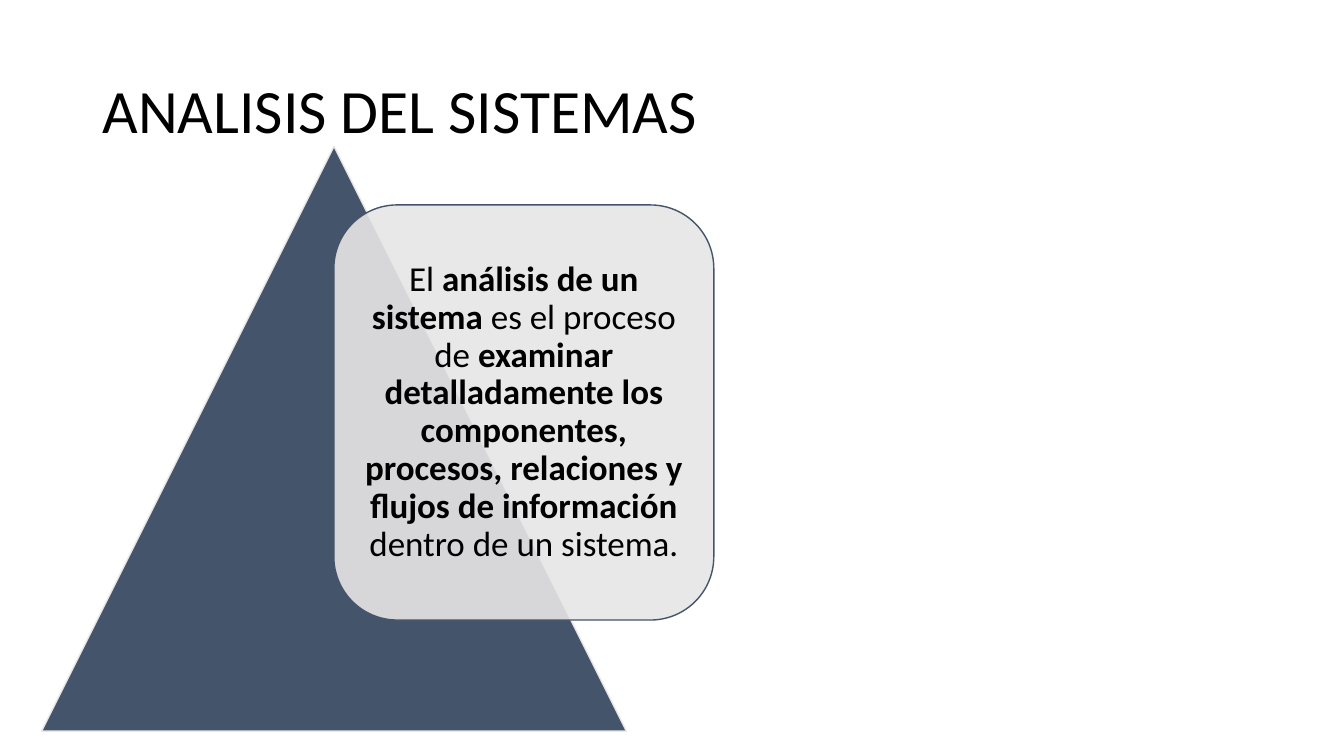
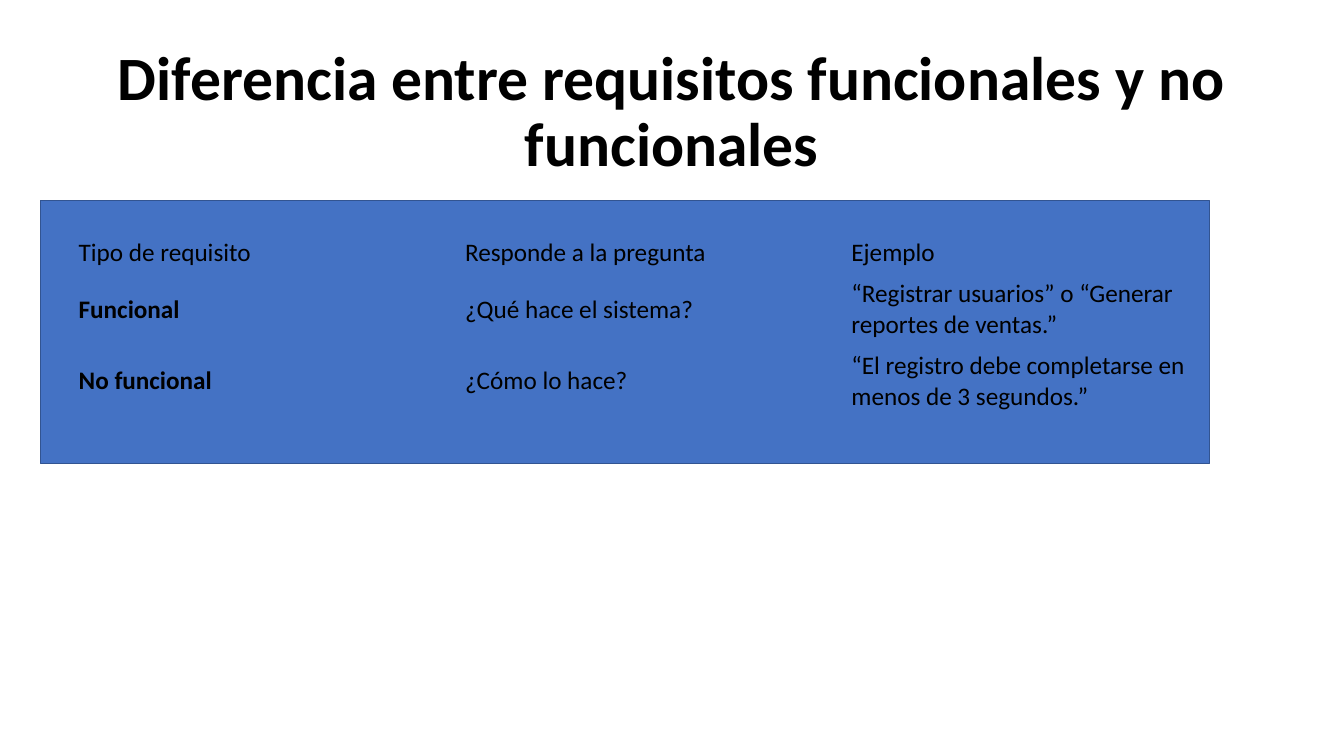
from pptx import Presentation
from pptx.dml.color import RGBColor
from pptx.enum.shapes import MSO_SHAPE as Shape
from pptx.enum.text import MSO_ANCHOR as Anchor, MSO_AUTO_SIZE as AutoSize, PP_ALIGN as Align
from pptx.oxml.ns import qn
from pptx.util import Pt
from lxml import etree

FONT = "Calibri"
BLACK, SLATE, PALE = "000000", "44546A", "E7E6E6"
BLUE, BLUE_EDGE = "4472C4", "325491"
NO_STYLE_NO_GRID = "{2D5ABB26-0587-4C30-8999-92F81FD0307C}"

ANALYSIS_TITLE = "ANALISIS DEL SISTEMAS"
DEFINITION = [  # (text, bold)
    ("El ", False),
    ("análisis de un sistema", True),
    (" es el proceso de ", False),
    ("examinar detalladamente los componentes, procesos, relaciones y flujos de información", True),
    (" dentro de un sistema.", False),
]

REQUIREMENTS_TITLE = "Diferencia entre requisitos funcionales y no funcionales"
REQUIREMENTS = [
    ("Tipo de requisito", "Responde a la pregunta", "Ejemplo"),
    ("Funcional", "¿Qué hace el sistema?", "“Registrar usuarios” o “Generar reportes de ventas.”"),
    ("No funcional", "¿Cómo lo hace?", "“El registro debe completarse en menos de 3 segundos.”"),
]
ROW_HEIGHTS = (29.2, 51.2, 51.2)
COLUMN_WIDTH = 276


def color(hex_value):
    return RGBColor.from_string(hex_value)


def set_font(paragraph, size, bold=None):
    font = paragraph.font
    font.name, font.size, font.bold = FONT, Pt(size), bold
    font.color.rgb = color(BLACK)


def add_titled_slide(prs, text, align, bold=False):
    slide = prs.slides.add_slide(prs.slide_layouts[5])
    title = slide.shapes.title
    title.left, title.top, title.width, title.height = Pt(66), Pt(28.75), Pt(828), Pt(104.4)
    frame = title.text_frame
    frame.text = text
    frame.word_wrap = True
    frame.auto_size = AutoSize.NONE
    frame.vertical_anchor = Anchor.MIDDLE
    paragraph = frame.paragraphs[0]
    paragraph.alignment = align
    paragraph.line_spacing = 0.9
    set_font(paragraph, 44, bold)
    return slide


def add_panel(slide, kind, box, fill, edge, opacity=100):
    panel = slide.shapes.add_shape(kind, *map(Pt, box))
    panel.shadow.inherit = False
    panel.fill.solid()
    panel.fill.fore_color.rgb = color(fill)
    panel.line.color.rgb = color(edge)
    panel.line.width = Pt(1)
    if opacity < 100:
        tint = panel.fill._xPr.find(qn("a:solidFill"))[0]
        etree.SubElement(tint, qn("a:alpha"), val=str(opacity * 1000))
    return panel


def build_analysis(prs):
    slide = add_titled_slide(prs, ANALYSIS_TITLE, Align.LEFT)
    add_panel(slide, Shape.ISOSCELES_TRIANGLE, (29.8, 104.6, 417.6, 417.6), SLATE, PALE)
    card = add_panel(slide, Shape.ROUNDED_RECTANGLE, (238.5, 146.4, 271.4, 296.5),
                     PALE, SLATE, opacity=90)
    frame = card.text_frame
    frame.word_wrap = True
    frame.vertical_anchor = Anchor.MIDDLE
    frame.margin_left = frame.margin_right = frame.margin_top = frame.margin_bottom = Pt(7.2)
    paragraph = frame.paragraphs[0]
    paragraph.alignment = Align.CENTER
    paragraph.line_spacing = 0.9
    set_font(paragraph, 25)
    for text, bold in DEFINITION:
        run = paragraph.add_run()
        run.text = text
        run.font.bold = bold


def build_requirements(prs):
    slide = add_titled_slide(prs, REQUIREMENTS_TITLE, Align.CENTER, bold=True)
    add_panel(slide, Shape.RECTANGLE, (28.8, 143.2, 835.2, 187.9), BLUE, BLUE_EDGE)
    columns = len(REQUIREMENTS[0])
    table = slide.shapes.add_table(len(REQUIREMENTS), columns, Pt(49), Pt(166.3),
                                   Pt(COLUMN_WIDTH * columns), Pt(sum(ROW_HEIGHTS))).table
    table.first_row = table.horz_banding = False
    table._tbl.tblPr.find(qn("a:tableStyleId")).text = NO_STYLE_NO_GRID
    for column in table.columns:
        column.width = Pt(COLUMN_WIDTH)
    for r, (texts, height) in enumerate(zip(REQUIREMENTS, ROW_HEIGHTS)):
        table.rows[r].height = Pt(height)
        for c, text in enumerate(texts):
            cell = table.cell(r, c)
            cell.text = text
            cell.fill.background()
            cell.vertical_anchor = Anchor.MIDDLE
            set_font(cell.text_frame.paragraphs[0], 18, bold=r > 0 and c == 0)


def main():
    prs = Presentation()
    prs.slide_width, prs.slide_height = Pt(960), Pt(540)
    build_analysis(prs)
    build_requirements(prs)
    prs.save("out.pptx")


if __name__ == "__main__":
    main()
